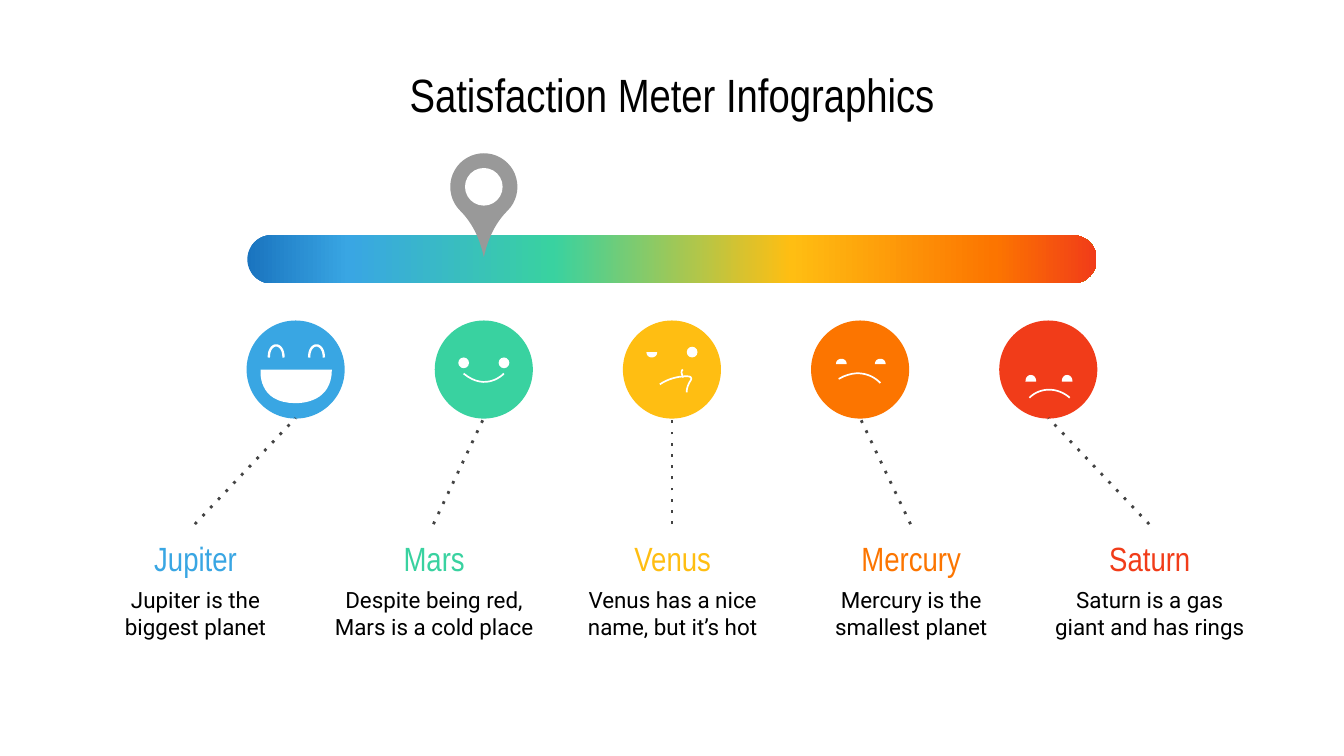
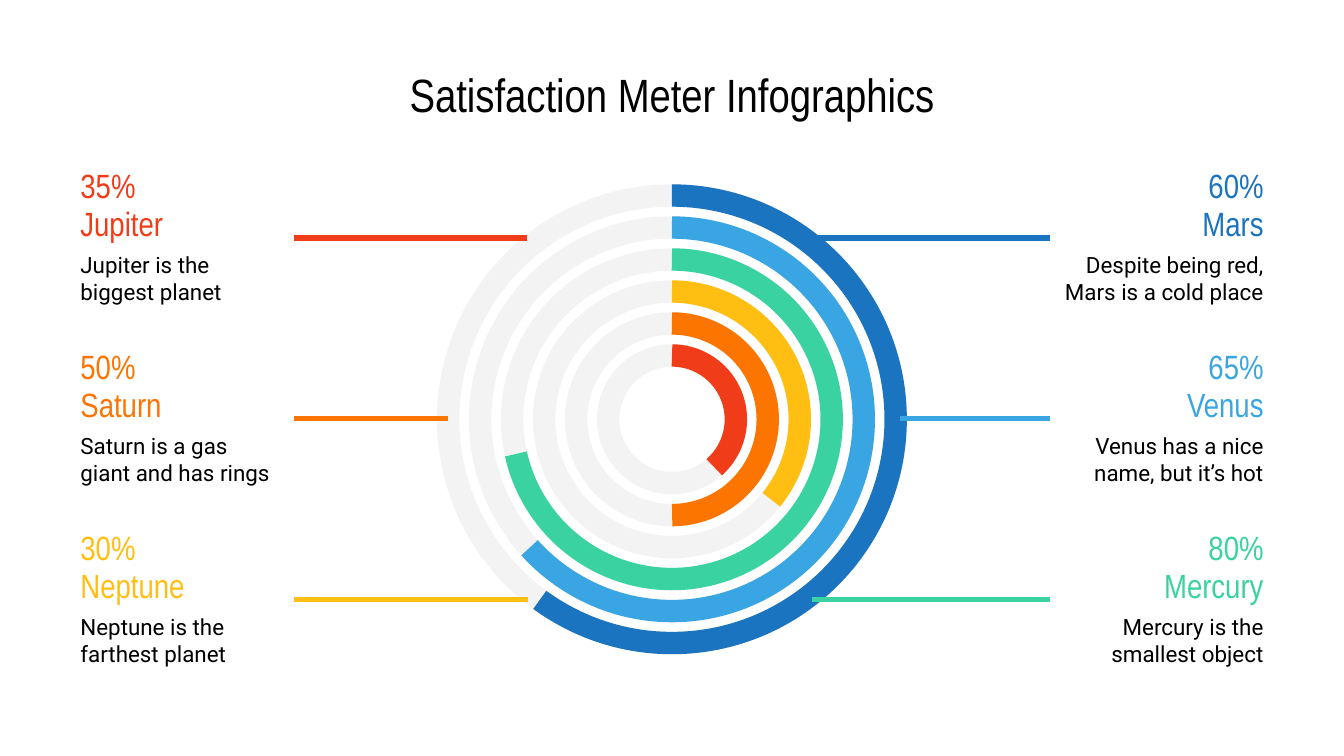
"""Build two satisfaction meter infographic slides."""
from dataclasses import dataclass

from lxml import etree
from pptx import Presentation
from pptx import util as u
from pptx.dml.color import RGBColor
from pptx.enum import dml, shapes, text
from pptx.oxml import ns

SHAPE = shapes.MSO_SHAPE
ALIGN = text.PP_ALIGN


@dataclass(frozen=True)
class Theme:
    navy: str = "1A74BF"
    blue: str = "39A6E3"
    green: str = "39D2A0"
    yellow: str = "FFBE12"
    orange: str = "FC7500"
    red: str = "F13C19"
    black: str = "000000"
    white: str = "FFFFFF"
    pin: str = "999999"
    track: str = "F3F3F3"
    leader: str = "434343"
    heading_font: str = "Arial Narrow"
    body_font: str = "Roboto"
    title_size: int = 25
    heading_size: int = 18
    body_size: int = 12


T = Theme()


def write(tf, content, *, size, font, color, align=ALIGN.LEFT, anchor=text.MSO_ANCHOR.TOP):
    tf.word_wrap = True
    tf.vertical_anchor = anchor
    tf.margin_left = tf.margin_right = tf.margin_top = tf.margin_bottom = u.Inches(0.1)
    p = tf.paragraphs[0]
    p.alignment = align
    r = p.add_run()
    r.text = content
    r.font.size = u.Pt(size)
    r.font.name = font
    r.font.color.rgb = RGBColor.from_string(color)


def bezier(p0, p1, p2, p3, steps=16):
    for k in range(1, steps + 1):
        t = k / steps
        s = 1 - t
        yield tuple(s**3 * a + 3 * s * s * t * b + 3 * s * t * t * c + t**3 * d
                    for a, b, c, d in zip(p0, p1, p2, p3))


class Deck:
    def __init__(self, theme):
        self.theme = theme
        self.prs = Presentation()
        self.prs.slide_width = u.Inches(10)
        self.prs.slide_height = u.Inches(10 * 9 / 16)
        self.s = None

    def slide(self, title):
        self.s = self.prs.slides.add_slide(self.prs.slide_layouts[6])
        self.text(0.5, 0.45, 9, 0.5, title, size=self.theme.title_size,
                  font=self.theme.heading_font, color=self.theme.black,
                  align=ALIGN.CENTER, anchor=text.MSO_ANCHOR.MIDDLE)

    def text(self, x, y, w, h, content, **fmt):
        box = self.s.shapes.add_textbox(*map(u.Inches, (x, y, w, h)))
        write(box.text_frame, content, **fmt)

    def heading(self, x, y, content, color, align):
        self.text(x, y, 1.69, 0.36, content, size=self.theme.heading_size,
                  font=self.theme.heading_font, color=color, align=align)

    def body(self, x, y, content, align):
        self.text(x, y, 1.69, 0.55, content, size=self.theme.body_size,
                  font=self.theme.body_font, color=self.theme.black, align=align)

    def paint(self, sp, fill=None, line=None, width=1):
        sp.shadow.inherit = False
        if fill:
            sp.fill.solid()
            sp.fill.fore_color.rgb = RGBColor.from_string(fill)
        else:
            sp.fill.background()
        if line:
            sp.line.color.rgb = RGBColor.from_string(line)
            sp.line.width = u.Pt(width)
        else:
            sp.line.fill.background()
        return sp

    def shape(self, kind, x, y, w, h, adj=(), **style):
        sp = self.s.shapes.add_shape(kind, *map(u.Inches, (x, y, w, h)))
        for i, value in enumerate(adj):
            sp.adjustments[i] = value
        return self.paint(sp, **style)

    def circle(self, cx, cy, d, **style):
        return self.shape(SHAPE.OVAL, cx - d / 2, cy - d / 2, d, d, **style)

    def gradient_bar(self, x, y, w, h, stops):
        sp = self.shape(SHAPE.ROUNDED_RECTANGLE, x, y, w, h, adj=[0.5])
        sp.fill.gradient()
        sp.fill.gradient_angle = 0
        gs_list = sp.element.spPr.find(".//" + ns.qn("a:gsLst"))
        for gs in list(gs_list):
            gs_list.remove(gs)
        for pos, color in stops:
            gs = etree.SubElement(gs_list, ns.qn("a:gs"), pos=str(pos * 1000))
            etree.SubElement(gs, ns.qn("a:srgbClr"), val=color)

    def line(self, start, end, color, width, dotted=False):
        c = self.s.shapes.add_connector(shapes.MSO_CONNECTOR.STRAIGHT,
                                        *map(u.Inches, (*start, *end)))
        c.line.color.rgb = RGBColor.from_string(color)
        c.line.width = u.Pt(width)
        spPr = c.element.spPr
        if dotted:
            c.line.dash_style = dml.MSO_LINE.ROUND_DOT
            spPr.find(".//" + ns.qn("a:prstDash")).set("val", "dot")
        etree.SubElement(spPr, ns.qn("a:effectLst"))

    def curve(self, start, *segments, **style):
        points = [start]
        for segment in segments:
            points.extend(bezier(points[-1], *segment))
        emu = [(u.Inches(x), u.Inches(y)) for x, y in points]
        builder = self.s.shapes.build_freeform(*emu[0], scale=1.0)
        builder.add_line_segments(emu[1:], close="fill" in style)
        return self.paint(builder.convert_to_shape(), **style)

    def stroke(self, start, *segments):
        self.curve(start, *segments, line=self.theme.white, width=0.9)

    def arch(self, x, base, w, h, **style):
        top = base - h * 4 / 3
        self.curve((x, base), ((x, top), (x + w, top), (x + w, base)), **style)


def laughing(d):
    d.curve((2.47, 2.75), ((2.47, 2.99), (2.25, 3), (2.2, 3)),
            ((1.91, 3), (1.94, 2.75), (1.94, 2.75)), fill=T.white)
    for x in (2, 2.3):
        d.arch(x, 2.66, 0.11, 0.09, line=T.white, width=1.25)


def smiling(d):
    for x in (3.45, 3.75):
        d.circle(x, 2.7, 0.08, fill=T.white)
    d.stroke((3.75, 2.78), ((3.75, 2.78), (3.62, 2.92), (3.45, 2.78)))


def thinking(d):
    d.circle(5.15, 2.62, 0.08, fill=T.white)
    d.arch(4.81, 2.62, 0.08, -0.04, fill=T.white)
    d.stroke((4.91, 2.86), ((4.97, 2.82), (5.04, 2.8), (5.11, 2.8)),
             ((5.14, 2.8), (5.15, 2.81), (5.14, 2.83)),
             ((5.12, 2.86), (5.11, 2.89), (5.11, 2.92)))
    d.stroke((5.08, 2.75), ((5.06, 2.77), (5.08, 2.79), (5.08, 2.81)))


def frowning(d):
    for x in (6.22, 6.51):
        d.arch(x, 2.71, 0.08, 0.04, fill=T.white)
    d.stroke((6.55, 2.85), ((6.55, 2.85), (6.43, 2.71), (6.24, 2.82)))


def sad(d):
    for x in (7.63, 7.9):
        d.arch(x, 2.84, 0.08, 0.05, fill=T.white)
    d.stroke((7.66, 2.96), ((7.74, 2.88), (7.87, 2.88), (7.96, 2.96)))


TITLE = "Satisfaction Meter Infographics"

MOODS = [
    ("Jupiter", "Jupiter is the biggest planet", T.blue, laughing),
    ("Mars", "Despite being red, Mars is a cold place", T.green, smiling),
    ("Venus", "Venus has a nice name, but it’s hot", T.yellow, thinking),
    ("Mercury", "Mercury is the smallest planet", T.orange, frowning),
    ("Saturn", "Saturn is a gas giant and has rings", T.red, sad),
]

METER = [(0, T.navy), (12, T.blue), (36, T.green), (64, T.yellow), (88, T.orange), (100, T.red)]

RINGS = [(T.navy, 75.71), (T.blue, 82.76), (T.green, 100.47),
         (T.yellow, 23.38), (T.orange, 53.9), (T.red, 29.17)]

LEFT_SCORES = [
    ("35%", "Jupiter", "Jupiter is the biggest planet", T.red, 3.92),
    ("50%", "Saturn", "Saturn is a gas giant and has rings", T.orange, 3.33),
    ("30%", "Neptune", "Neptune is the farthest planet", T.yellow, 3.93),
]
RIGHT_SCORES = [
    ("60%", "Mars", "Despite being red, Mars is a cold place", T.navy, 6.01),
    ("65%", "Venus", "Venus has a nice name, but it’s hot", T.blue, 6.7),
    ("80%", "Mercury", "Mercury is the smallest object", T.green, 6.04),
]


def mood_slide(d):
    d.slide(TITLE)
    d.gradient_bar(1.84, 1.75, 6.32, 0.36, METER)
    pin = d.shape(SHAPE.TEAR, 3.35, 1.14, 0.5, 0.5, adj=[1.48], fill=T.pin)
    pin.rotation = 135
    d.circle(3.6, 1.39, 0.28, fill=T.white)
    for i, (name, note, color, draw_face) in enumerate(MOODS):
        face_x = 2.2 + 1.4 * i
        label_x = 4.16 + 7.1 / 4 * (i - 2)
        d.circle(face_x, 2.75, 0.73, fill=color)
        draw_face(d)
        d.heading(label_x, 3.9, name, color, ALIGN.CENTER)
        d.body(label_x, 4.26, note, ALIGN.CENTER)
        d.line((label_x + 0.84, 3.9), (face_x, 3.11), T.leader, 1.5, dotted=True)


def ring_slide(d):
    d.slide(TITLE)
    outer, inner = 3.33, 0.95
    for i, (color, end) in enumerate(RINGS):
        size = outer - (outer - inner) / (len(RINGS) - 1) * i
        x, y = 5 - size / 2, 3.12 - size / 2
        d.circle(5, 3.12, size, line=T.track, width=12)
        d.shape(SHAPE.ARC, x, y, size, size, adj=[162, end], line=color, width=12)
    for scores, x, edge, align in ((LEFT_SCORES, 0.5, 2.19, ALIGN.LEFT),
                                   (RIGHT_SCORES, 7.81, 7.81, ALIGN.RIGHT)):
        for i, (share, name, note, color, ring_x) in enumerate(scores):
            y = 1.77 + 2.69 / 2 * i
            d.line((ring_x, y), (edge, y), color, 3)
            d.heading(x, y - 0.36, name, color, align)
            d.body(x, y, note, align)
            d.heading(x, y - 0.64, share, color, align)


def main():
    d = Deck(T)
    mood_slide(d)
    ring_slide(d)
    d.prs.save("out.pptx")


if __name__ == "__main__":
    main()
